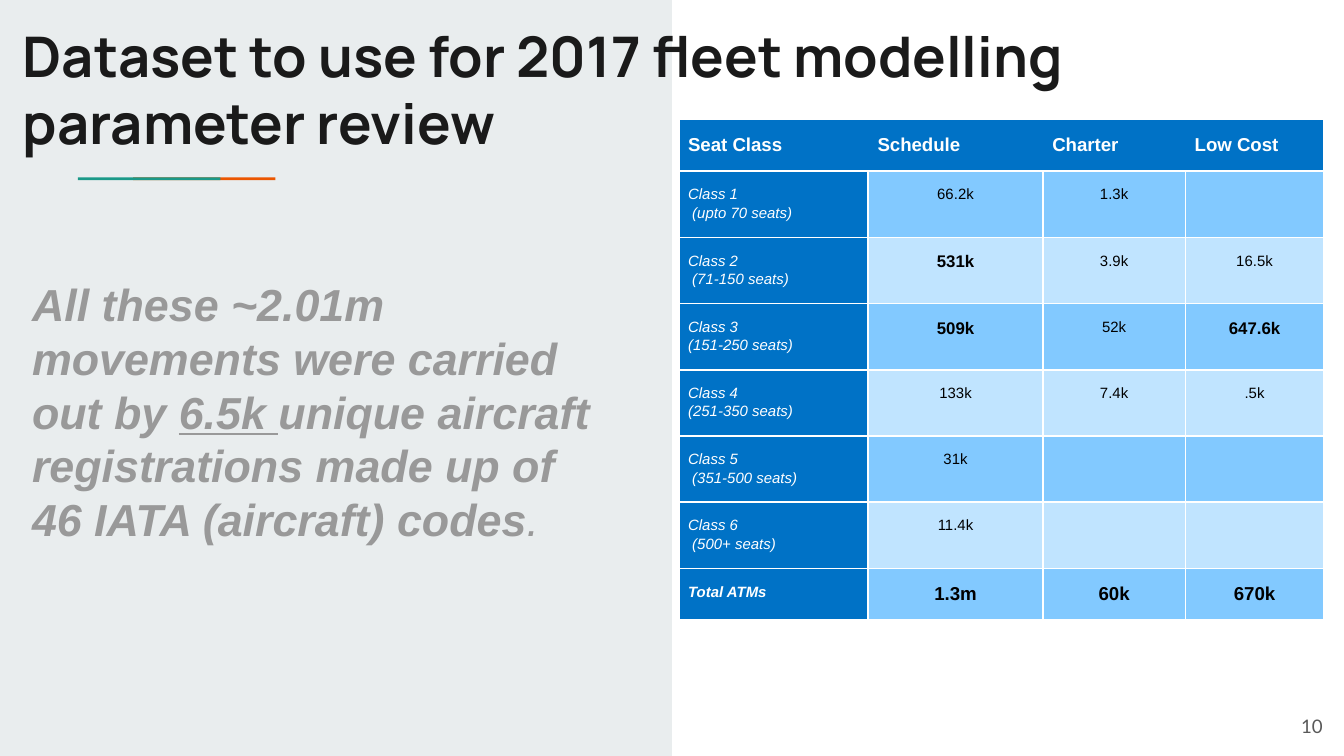
"""Build the fleet dataset slide with its seat class table."""
from dataclasses import dataclass

from lxml.etree import SubElement
from pptx import Presentation
from pptx.dml.color import RGBColor
from pptx.enum.shapes import MSO_SHAPE as Shape
from pptx.enum.text import MSO_ANCHOR as Anchor, PP_ALIGN as Align
from pptx.oxml.ns import qn
from pptx.util import Inches, Pt


@dataclass(frozen=True)
class Theme:
    panel: str = "E9EDEE"
    orange: str = "EB5600"
    teal: str = "1A9988"
    title: str = "1A1A1A"
    muted: str = "999999"
    number: str = "595959"
    white: str = "FFFFFF"
    black: str = "000000"
    header: str = "0072C6"
    bands: tuple = ("82C9FF", "C0E4FF")
    title_size: float = 30
    body_size: float = 24
    heading_size: float = 10
    strong_size: float = 9
    cell_size: float = 8


class SlideBuilder:
    def __init__(self, slide, theme):
        self.slide = slide
        self.theme = theme

    def style(self, font, size, color, name="Arial", bold=False, italic=False):
        font.name, font.size = name, Pt(size)
        font.bold, font.italic = bold, italic
        font.color.rgb = RGBColor.from_string(color)

    def rectangle(self, left, top, width, height, color):
        shape = self.slide.shapes.add_shape(
            Shape.RECTANGLE, *map(Inches, (left, top, width, height)))
        shape.shadow.inherit = False
        shape.fill.solid()
        shape.fill.fore_color.rgb = RGBColor.from_string(color)
        shape.line.fill.background()

    def text(self, box, runs, anchor=Anchor.TOP, align=Align.LEFT, **style):
        frame = self.slide.shapes.add_textbox(*map(Inches, box)).text_frame
        frame.word_wrap = True
        frame.vertical_anchor = anchor
        frame.margin_left = frame.margin_right = Inches(0.1)
        frame.margin_top = frame.margin_bottom = Inches(0.1)
        paragraph = frame.paragraphs[0]
        paragraph.alignment = align
        self.style(paragraph.font, **style)
        for words, changes in runs:
            run = paragraph.add_run()
            run.text = words
            for attribute, value in changes.items():
                setattr(run.font, attribute, value)

    def borders(self, cell, sides):
        properties = cell._tc.get_or_add_tcPr()
        fill = properties.find(qn("a:solidFill"))
        for side in ("L", "R", "T", "B"):
            line = SubElement(properties, qn(f"a:ln{side}"), w=str(Pt(1)))
            if side in sides:
                paint = SubElement(line, qn("a:solidFill"))
                SubElement(paint, qn("a:srgbClr"), val=self.theme.white)
            else:
                SubElement(line, qn("a:noFill"))
        properties.append(fill)

    def cell(self, cell, words, fill, sides="LRTB", align=Align.LEFT, **style):
        cell.margin_left = cell.margin_right = Inches(0.07)
        cell.margin_top = cell.margin_bottom = Inches(0.1)
        cell.fill.solid()
        cell.fill.fore_color.rgb = RGBColor.from_string(fill)
        self.borders(cell, sides)
        cell.text = words
        for paragraph in cell.text_frame.paragraphs:
            paragraph.alignment, paragraph.line_spacing = align, 1.1
            self.style(paragraph.font, **style)

    def table(self, left, top, widths, heights, headings, rows, strong):
        theme = self.theme
        table = self.slide.shapes.add_table(
            len(heights), len(widths), Inches(left), Inches(top),
            Inches(sum(widths)), Inches(sum(heights))).table
        for column, width in zip(table.columns, widths):
            column.width = Inches(width)
        for row, height in zip(table.rows, heights):
            row.height = Inches(height)
        last = len(widths) - 1
        for column, words in enumerate(headings):
            sides = "TB" + "L" * (column == 0) + "R" * (column == last)
            self.cell(table.cell(0, column), words, theme.header, sides,
                      size=theme.heading_size, color=theme.white, bold=True)
        for number, (label, *values) in enumerate(rows, 1):
            total = number == len(rows)
            self.cell(table.cell(number, 0), label, theme.header, size=theme.cell_size,
                      color=theme.white, bold=total, italic=True)
            for column, value in enumerate(values, 1):
                bold = total or value in strong
                size = (theme.heading_size if total
                        else theme.strong_size if bold else theme.cell_size)
                self.cell(table.cell(number, column), value, theme.bands[(number - 1) % 2],
                          align=Align.CENTER, size=size, color=theme.black, bold=bold)


HEADINGS = ("Seat Class", "Schedule", "Charter", "Low Cost")
ROWS = (
    ("Class 1\n (upto 70 seats)", "66.2k", "1.3k", ""),
    ("Class 2\n (71-150 seats)", "531k", "3.9k", "16.5k"),
    ("Class 3\n(151-250 seats)", "509k", "52k", "647.6k"),
    ("Class 4\n(251-350 seats)", "133k", "7.4k", ".5k"),
    ("Class 5\n (351-500 seats)", "31k", "", ""),
    ("Class 6\n (500+ seats)", "11.4k", "", ""),
    ("Total ATMs", "1.3m", "60k", "670k"),
)
STRONG = {"531k", "509k", "647.6k"}


def main():
    presentation = Presentation()
    presentation.slide_width = Inches(10)
    presentation.slide_height = presentation.slide_width * 9 // 16
    theme = Theme()
    slide = presentation.slides.add_slide(presentation.slide_layouts[6])
    builder = SlideBuilder(slide, theme)
    builder.rectangle(0, 0, 5, presentation.slide_height.inches, theme.panel)
    for left, color in ((0.99, theme.orange), (0.58, theme.teal)):
        builder.rectangle(left, 1.32, 1.06, 0.02, color)
    builder.text((0.07, 0.06, 8.11, 1.44),
                 [("Dataset to use for 2017 fleet modelling parameter review", {})],
                 size=theme.title_size, color=theme.title, name="Manrope", bold=True)
    builder.table(5.05, 0.89, (1.41, 1.3, 1.06, 1.03), (0.37, *[0.48] * 6, 0.37),
                  HEADINGS, ROWS, STRONG)
    builder.text((0.14, 1.96, 4.5, 2.91), [
        ("All these ~2.01m movements were carried out by ", {}),
        ("6.5k ", {"underline": True}),
        ("unique aircraft registrations made up of 46 IATA (aircraft) codes", {}),
        (".", {"bold": False}),
    ], size=theme.body_size, color=theme.muted, bold=True, italic=True)
    builder.text((9.34, 5.19, 0.6, 0.43), [("10", {})], anchor=Anchor.MIDDLE,
                 align=Align.RIGHT, size=theme.heading_size, color=theme.number, name="Lato")
    presentation.save("out.pptx")


if __name__ == "__main__":
    main()
